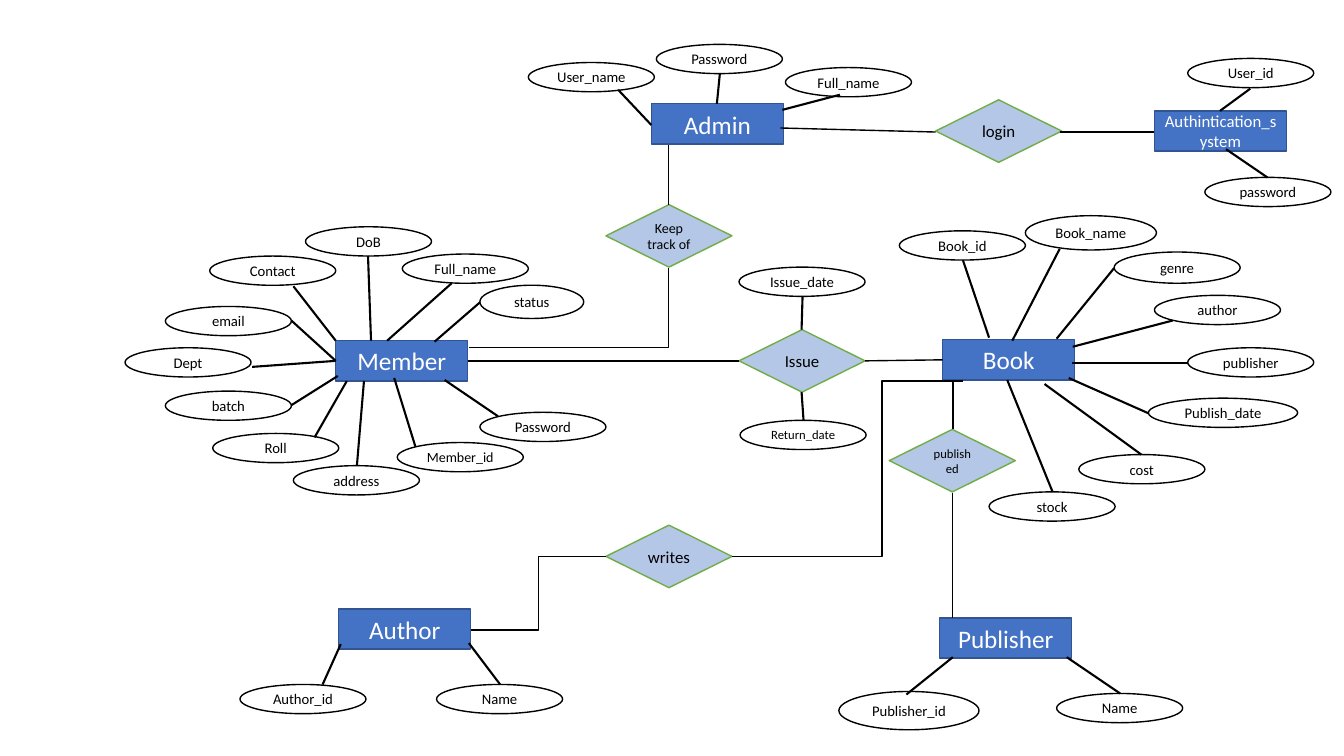
from dataclasses import dataclass

from lxml import etree
from pptx import Presentation
from pptx.dml.color import RGBColor
from pptx.enum.shapes import MSO_CONNECTOR, MSO_SHAPE
from pptx.enum.text import MSO_ANCHOR, PP_ALIGN
from pptx.oxml.ns import qn
from pptx.slide import Slide
from pptx.util import Inches, Pt

RECTANGLE = MSO_SHAPE.RECTANGLE
ELLIPSE = MSO_SHAPE.OVAL
DIAMOND = MSO_SHAPE.DIAMOND
STRAIGHT = MSO_CONNECTOR.STRAIGHT
ELBOW = MSO_CONNECTOR.ELBOW
MIDDLE = MSO_ANCHOR.MIDDLE
CENTER = PP_ALIGN.CENTER

WHITE = RGBColor(0xFF, 0xFF, 0xFF)
BLACK = RGBColor(0x00, 0x00, 0x00)
BLUE = RGBColor(0x44, 0x72, 0xC4)
DARK_BLUE = RGBColor(0x32, 0x54, 0x91)
PALE_BLUE = RGBColor(0xB4, 0xC7, 0xE7)
GREEN = RGBColor(0x70, 0xAD, 0x47)

FONT = "Calibri"
Point = tuple[float, float]


@dataclass(frozen=True)
class Style:
    outline: MSO_SHAPE
    fill: RGBColor
    line: RGBColor
    text: RGBColor


ENTITY = Style(RECTANGLE, BLUE, DARK_BLUE, WHITE)
ATTRIBUTE = Style(ELLIPSE, WHITE, BLACK, BLACK)
RELATIONSHIP = Style(DIAMOND, PALE_BLUE, GREEN, BLACK)


@dataclass(frozen=True)
class Entity:
    text: str
    left: float
    top: float
    size: float = 18
    width: float = 1.31
    height: float = 0.4
    style: Style = ENTITY


@dataclass(frozen=True)
class Relationship:
    text: str
    left: float
    top: float
    size: float = 12
    width: float = 1.25
    height: float = 0.62
    style: Style = RELATIONSHIP


@dataclass(frozen=True)
class Attribute:
    """An oval, with the two ends of the line that ties it to its owner."""
    text: str
    left: float
    top: float
    start: Point
    end: Point
    width: float = 1.25
    height: float = 0.29
    size: float = 10.5
    style: Style = ATTRIBUTE


@dataclass(frozen=True)
class Link:
    """A line; turn is the share of its width at which an elbow bends."""
    start: Point
    end: Point
    weight: float = 1
    turn: float | None = None


ENTITIES = [
    Entity("Member", 3.33, 3.38),
    Entity("Book", 9.35, 3.37),
    Entity("Admin", 6.46, 1.03),
    Entity("Publisher", 9.32, 6.13),
    Entity("Author", 3.36, 6.04),
    Entity("Authintication_system", 11.45, 1.1, size=12),
]

RELATIONSHIPS = [
    Relationship("Keep track of", 6.01, 2.03, size=10),
    Relationship("Issue", 7.33, 3.27),
    Relationship("writes", 6.01, 5.21),
    Relationship("published", 8.82, 4.26, size=9),
    Relationship("login", 9.28, 0.99),
]

MEMBER_ATTRIBUTES = [
    Attribute("Contact", 2.08, 2.54, (3.33, 3.38), (2.91, 2.84)),
    Attribute("DoB", 3.03, 2.25, (3.68, 3.38), (3.65, 2.54)),
    Attribute("Full_name", 3.99, 2.52, (3.84, 3.38), (4.48, 2.81)),
    Attribute("status", 4.76, 2.83, (4.31, 3.39), (4.76, 3), 1.03, 0.33),
    Attribute("email", 1.64, 3.04, (3.33, 3.58), (2.89, 3.18)),
    Attribute("Dept", 1.24, 3.45, (3.33, 3.58), (2.5, 3.64)),
    Attribute("batch", 1.64, 3.88, (3.35, 3.73), (2.89, 4.02)),
    Attribute("Roll", 2.11, 4.3, (3.44, 3.78), (3.12, 4.34)),
    Attribute("address", 2.91, 4.62, (3.61, 3.78), (3.54, 4.62)),
    Attribute("Member_id", 3.94, 4.39, (3.91, 3.75), (4.12, 4.43), size=10),
    Attribute("Password", 4.76, 4.09, (4.41, 3.77), (4.94, 4.13)),
]

BOOK_ATTRIBUTES = [
    Attribute("Book_id", 8.92, 2.29, (9.81, 3.35), (9.55, 2.58)),
    Attribute("Book_name", 10.17, 2.14, (10.04, 3.38), (10.51, 2.47), 1.3, 0.34),
    Attribute("genre", 11.05, 2.5, (10.48, 3.36), (11.05, 2.66), height=0.31),
    Attribute("author", 11.45, 2.93, (10.64, 3.44), (11.63, 3.18)),
    Attribute("publisher", 11.78, 3.45, (10.63, 3.6), (11.78, 3.6)),
    Attribute("Publish_date", 11.39, 3.95, (10.6, 3.75), (11.39, 4.1), width=1.48),
    Attribute("cost", 10.7, 4.51, (10.36, 3.81), (11.32, 4.51)),
    Attribute("stock", 9.81, 4.88, (9.99, 3.77), (10.44, 4.88)),
]

ADMIN_ATTRIBUTES = [
    Attribute("User_name", 5.24, 0.62, (6.46, 1.24), (6.13, 0.89)),
    Attribute("Password", 6.51, 0.44, (7.11, 1.03), (7.14, 0.73)),
    Attribute("Full_name", 7.79, 0.67, (7.76, 1.09), (8.33, 0.94)),
]

PUBLISHER_ATTRIBUTES = [
    Attribute("Publisher_id", 8.32, 6.86, (9.45, 6.52), (8.99, 6.89), 1.39, 0.38),
    Attribute("Name", 10.48, 6.88, (10.58, 6.52), (11.11, 6.88)),
]

AUTHOR_ATTRIBUTES = [
    Attribute("Author_id", 2.38, 6.79, (3.38, 6.39), (3.2, 6.79)),
    Attribute("Name", 4.33, 6.79, (4.65, 6.38), (4.96, 6.79)),
]

ISSUE_ATTRIBUTES = [
    Attribute("Issue_date", 7.33, 2.65, (7.95, 3.27), (7.96, 2.94)),
    Attribute("Return_date", 7.34, 4.17, (7.95, 3.89), (7.97, 4.17), size=9),
]

SYSTEM_ATTRIBUTES = [
    Attribute("User_id", 11.78, 0.58, (12.1, 1.1), (12.4, 0.88)),
    Attribute("password", 11.95, 1.76, (12.16, 1.48), (12.57, 1.76)),
]

ATTRIBUTES = [
    *MEMBER_ATTRIBUTES, *BOOK_ATTRIBUTES, *ADMIN_ATTRIBUTES,
    *PUBLISHER_ATTRIBUTES, *AUTHOR_ATTRIBUTES, *ISSUE_ATTRIBUTES,
    *SYSTEM_ATTRIBUTES,
]

LINKS = [
    Link((6.63, 1.44), (6.63, 2.03), 0.75),
    Link((4.65, 3.45), (6.63, 2.66), 0.5, turn=1),
    Link((4.64, 3.58), (7.33, 3.58)),
    Link((8.58, 3.58), (9.35, 3.57)),
    Link((4.67, 6.25), (6.01, 5.52), turn=0.5),
    Link((7.26, 5.52), (9.55, 3.78), turn=0.65),
    Link((9.45, 4.26), (9.45, 3.77), 1.5),
    Link((9.45, 4.89), (9.45, 6.13)),
    Link((7.74, 1.27), (9.28, 1.31)),
    Link((10.51, 1.31), (11.45, 1.31)),
]


def draw_node(page: Slide, node: Entity | Relationship | Attribute) -> None:
    style = node.style
    box = page.shapes.add_shape(
        style.outline, Inches(node.left), Inches(node.top),
        Inches(node.width), Inches(node.height))
    box.shadow.inherit = False
    box.fill.solid()
    box.fill.fore_color.rgb = style.fill
    box.line.color.rgb = style.line
    box.line.width = Pt(1)
    frame = box.text_frame
    frame.word_wrap = True
    frame.vertical_anchor = MIDDLE
    para = frame.paragraphs[0]
    para.text = node.text
    para.alignment = CENTER
    para.font.name = FONT
    para.font.size = Pt(node.size)
    para.font.color.rgb = style.text


def draw_link(page: Slide, link: Link) -> None:
    kind = STRAIGHT if link.turn is None else ELBOW
    ends = [Inches(length) for length in (*link.start, *link.end)]
    connector = page.shapes.add_connector(kind, *ends)
    connector.line.color.rgb = BLACK
    connector.line.width = Pt(link.weight)
    properties = connector._element.spPr
    etree.SubElement(properties, qn("a:effectLst"))
    geometry = properties.find(qn("a:prstGeom"))
    if link.turn == 1:
        geometry.set("prst", "bentConnector2")
    elif link.turn is not None:
        guide = etree.SubElement(geometry.find(qn("a:avLst")), qn("a:gd"))
        guide.set("name", "adj1")
        guide.set("fmla", f"val {round(link.turn * 100000)}")


def main() -> None:
    deck = Presentation()
    deck.slide_width, deck.slide_height = Inches(13.33), Inches(7.5)
    page = deck.slides.add_slide(deck.slide_layouts[6])
    for node in [*ENTITIES, *RELATIONSHIPS, *ATTRIBUTES]:
        draw_node(page, node)
    for attribute in ATTRIBUTES:
        draw_link(page, Link(attribute.start, attribute.end, 1.5))
    for link in LINKS:
        draw_link(page, link)
    deck.save("out.pptx")


if __name__ == "__main__":
    main()
